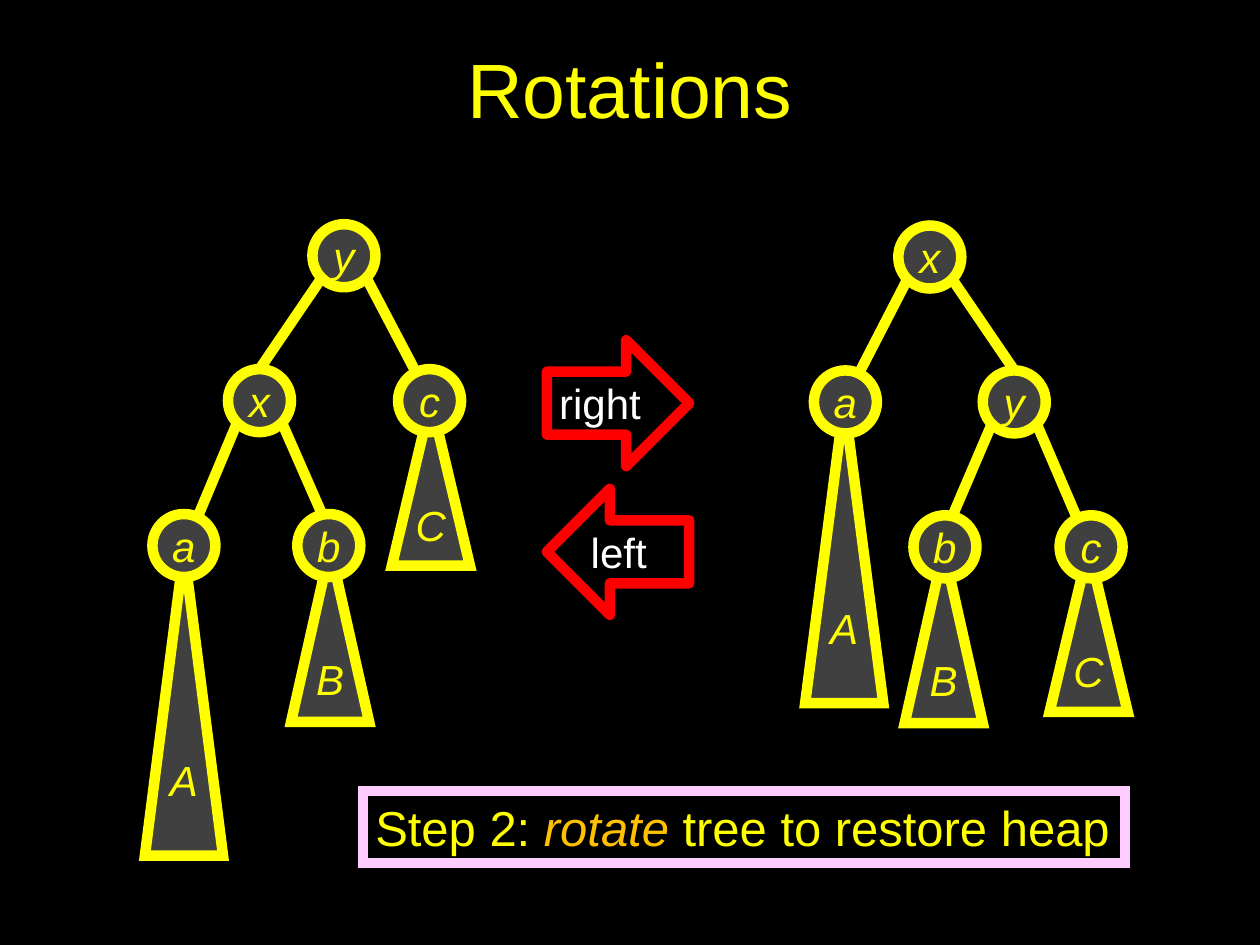
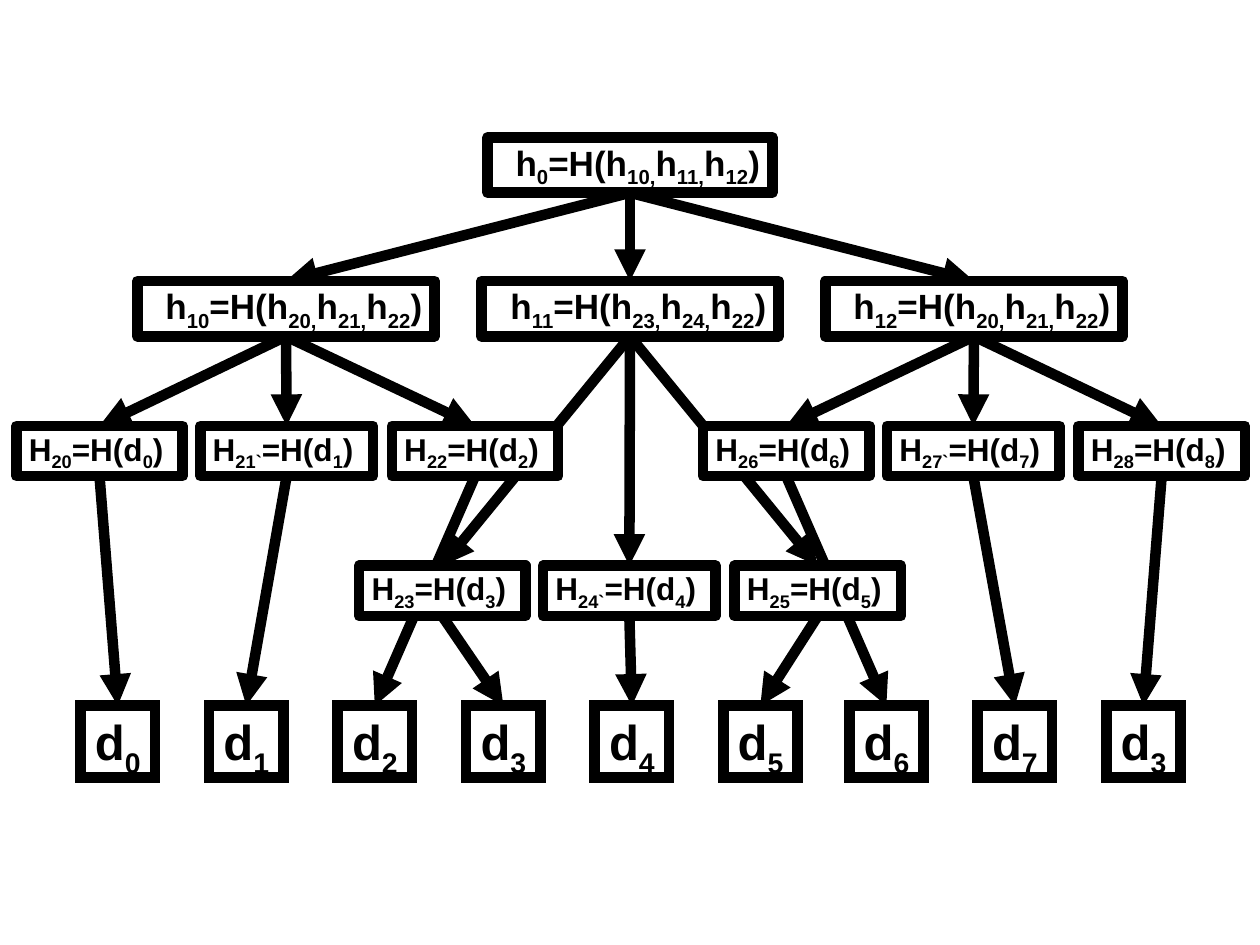
import dataclasses

import lxml.etree
import pptx
import pptx.dml.color
import pptx.enum.shapes
import pptx.enum.text
import pptx.oxml.ns
import pptx.util

PX = 9144  # EMU in one px, 100 px to the inch

SHAPES = pptx.enum.shapes.MSO_SHAPE
ALIGN = pptx.enum.text.PP_ALIGN
ANCHOR = pptx.enum.text.MSO_ANCHOR
AUTO_SIZE = pptx.enum.text.MSO_AUTO_SIZE
BOTTOM, TOP = 2, 0  # connection sites of a rectangle


@dataclasses.dataclass(frozen=True)
class Theme:
    font: str = "Arial"
    black: str = "000000"
    white: str = "FFFFFF"
    yellow: str = "FFFF00"
    orange: str = "FFC000"
    grey: str = "404040"
    red: str = "FF0000"
    pink: str = "FFCCFF"
    title: int = 44
    large: int = 28
    label: int = 24
    hash_root: int = 20
    hash_leaf: int = 18
    stroke: int = 6


THEME = Theme()


# Shared helpers

def rgb(colour):
    return pptx.dml.color.RGBColor.from_string(colour)


def px(*lengths):
    return [pptx.util.Emu(length * PX) for length in lengths]


def add_xml(parent, tag, **attributes):
    return lxml.etree.SubElement(parent, pptx.oxml.ns.qn(tag), attributes)


def add_page(deck, layout, background):
    page = deck.slides.add_slide(deck.slide_layouts[layout])
    page.background.fill.solid()
    page.background.fill.fore_color.rgb = rgb(background)
    return page


def add_span(para, text, size, colour, bold=False, italic=False):
    span = para.add_run()
    span.text = text
    span.font.name = THEME.font
    span.font.size = pptx.util.Pt(size)
    span.font.color.rgb = rgb(colour)
    span.font.bold = bold
    span.font.italic = italic
    return span


def style_line(line, colour, join=None):
    line.color.rgb = rgb(colour)
    line.width = pptx.util.Pt(THEME.stroke)
    if join:
        add_xml(line._get_or_add_ln(), join)


def add_box(page, kind, place, fill, stroke, join="a:miter"):
    box = page.shapes.add_shape(kind, *px(*place))
    box.shadow.inherit = False
    if fill:
        box.fill.solid()
        box.fill.fore_color.rgb = rgb(fill)
    else:
        box.fill.background()
    style_line(box.line, stroke, join)
    return box


def set_frame(box, align, anchor=ANCHOR.TOP, wrap=True, grow=False, inset=None):
    frame = box.text_frame
    frame.word_wrap = wrap
    frame.auto_size = AUTO_SIZE.SHAPE_TO_FIT_TEXT if grow else AUTO_SIZE.NONE
    frame.vertical_anchor = anchor
    if inset is not None:
        frame.margin_left = frame.margin_right = inset
        frame.margin_top = frame.margin_bottom = inset
    para = frame.paragraphs[0]
    para.alignment = align
    return para


def add_line(page, start, end, colour):
    line = page.shapes.add_connector(
        pptx.enum.shapes.MSO_CONNECTOR.STRAIGHT, *px(*start, *end))
    style_line(line.line, colour)
    add_xml(line._element.spPr, "a:effectLst")
    return line


# Rotation trees

def add_tree_part(page, kind, place, label, inset=None):
    box = add_box(page, kind, place, THEME.grey, THEME.yellow)
    para = set_frame(box, ALIGN.CENTER, ANCHOR.MIDDLE, wrap=False, inset=inset)
    add_span(para, label, THEME.label, THEME.yellow, italic=True)


def add_tree(page, nodes, edges, subtrees):
    """Draw edges first, so that subtrees and nodes cover their ends."""
    for parent, side, end in edges:
        x, y = nodes[parent]
        add_line(page, (x + 18 * side, y + 18), end, THEME.yellow)
    for label, place in subtrees.items():
        add_tree_part(page, SHAPES.ISOSCELES_TRIANGLE, place, label)
    for label, (x, y) in nodes.items():
        add_tree_part(page, SHAPES.OVAL, (x - 25, y - 25, 50, 50), label, 0)


def add_direction(page, kind, top, label):
    box = add_box(page, kind, (434, top, 113, 100), None, THEME.red, "a:round")
    para = set_frame(box, ALIGN.LEFT, grow=True)
    add_span(para, label, THEME.label, THEME.white)


def build_rotations(deck):
    page = add_page(deck, 5, THEME.black)

    # Title
    title = page.shapes.title
    title.left, title.top, title.width, title.height = px(0, 7, 1000, 125)
    para = set_frame(title, ALIGN.CENTER, ANCHOR.MIDDLE)
    add_span(para, "Rotations", THEME.title, THEME.yellow)

    # Tree before and after rotating right
    add_tree(
        page,
        {"y": (273, 203), "x": (206, 318), "c": (341, 318),
         "a": (146, 433), "b": (261, 433)},
        [("y", -1, (206, 293)), ("y", 1, (342, 318)),
         ("x", -1, (147, 434)), ("x", 1, (267, 434))],
        {"A": (115, 437, 62, 242), "B": (231, 435, 62, 138),
         "C": (311, 318, 62, 131)})
    add_tree(
        page,
        {"x": (738, 204), "a": (671, 319), "y": (805, 319),
         "b": (750, 434), "c": (866, 434)},
        [("x", -1, (670, 319)), ("x", 1, (805, 294)),
         ("y", -1, (745, 435)), ("y", 1, (865, 435))],
        {"A": (639, 319, 62, 239), "B": (718, 436, 62, 138),
         "C": (833, 435, 62, 130)})

    # Directions
    add_direction(page, SHAPES.RIGHT_ARROW, 270, "right")
    add_direction(page, SHAPES.LEFT_ARROW, 388, "left")

    # Step banner
    banner = add_box(page, SHAPES.RECTANGLE, (288, 628, 605, 57),
                     THEME.black, THEME.pink)
    para = set_frame(banner, ALIGN.LEFT, grow=True)
    add_span(para, "Step 2: ", THEME.large, THEME.yellow)
    add_span(para, "rotate ", THEME.large, THEME.orange, italic=True)
    add_span(para, "tree to restore heap", THEME.large, THEME.yellow)


# Hash tree

def add_hash_box(page, place, formula, size, align,
                 anchor=ANCHOR.MIDDLE, join="a:round"):
    """Brackets in the formula enclose subscripts."""
    box = add_box(page, SHAPES.RECTANGLE, place, THEME.white, THEME.black, join)
    para = set_frame(box, align, anchor, wrap=False, grow=True)
    for index, part in enumerate(formula.replace("]", "[").split("[")):
        if part:
            span = add_span(para, part, size, THEME.black, bold=True)
            if index % 2:
                span._r.get_or_add_rPr().set("baseline", "-25000")
    return box


def add_arrow(page, parent, child):
    arrow = add_line(page, (0, 0), (0, 0), THEME.black)
    arrow.begin_connect(parent, BOTTOM)
    arrow.end_connect(child, TOP)
    add_xml(arrow.line._get_or_add_ln(), "a:tailEnd", type="triangle")
    # Send behind the boxes, after the two group property elements
    arrow._element.getparent().insert(2, arrow._element)


def build_hash_tree(deck):
    page = add_page(deck, 6, THEME.white)

    # Root and inner hashes
    root = add_hash_box(page, (387, 109, 226, 44), "h[0]=H(h[10,]h[11,]h[12])",
                        THEME.hash_root, ALIGN.RIGHT)
    formulas = ("h[10]=H(h[20,]h[21,]h[22])",
                "h[11]=H(h[23,]h[24,]h[22])",
                "h[12]=H(h[20,]h[21,]h[22])")
    inner = [add_hash_box(page, (109 + 273 * column, 223, 236, 44), formula,
                          THEME.hash_root, ALIGN.RIGHT)
             for column, formula in enumerate(formulas)]

    # Leaf hashes, three under each inner hash
    leaves = []
    for left, top in ((13, 338), (285, 449), (558, 338)):
        for offset, width, mark in ((0, 132, ""), (146, 137, "`"), (298, 132, "")):
            number = len(leaves)
            leaves.append(add_hash_box(
                page, (left + offset, top, width, 40),
                f"H[2{number}{mark}]=H(d[{number}])",
                THEME.hash_leaf, ALIGN.LEFT))

    # Data blocks, the last three set slightly closer
    blocks = []
    for column, number in enumerate("012345673"):
        left = 64 + 102 * column - (2 if column > 5 else 0)
        blocks.append(add_hash_box(
            page, (left, 560, 59, 57), f"d[{number}]", THEME.large,
            ALIGN.CENTER, ANCHOR.TOP, "a:miter"))

    # Arrows from each hash to what it covers
    for child in inner:
        add_arrow(page, root, child)
    for number, leaf in enumerate(leaves):
        add_arrow(page, inner[number // 3], leaf)
        add_arrow(page, leaf, blocks[number])


def main():
    deck = pptx.Presentation()
    deck.slide_width, deck.slide_height = px(1000, 750)
    build_rotations(deck)
    build_hash_tree(deck)
    deck.save("out.pptx")


if __name__ == "__main__":
    main()
